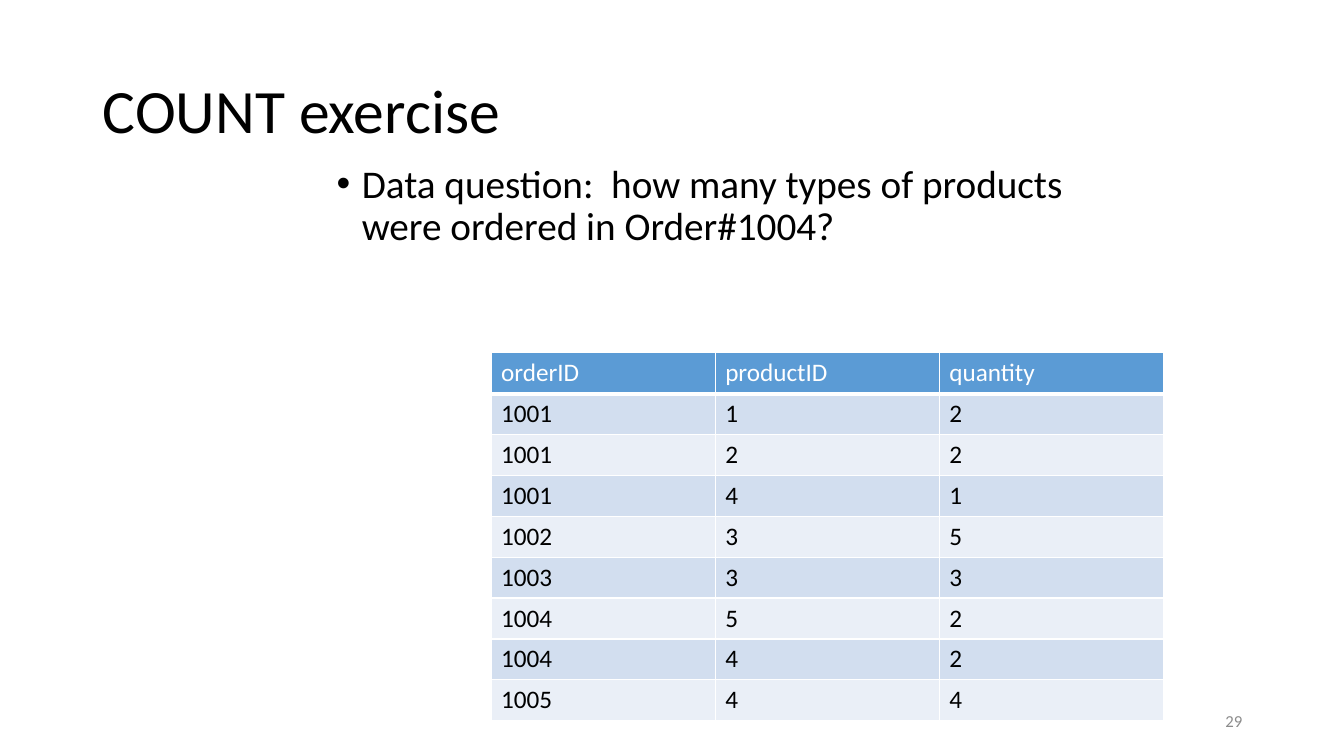
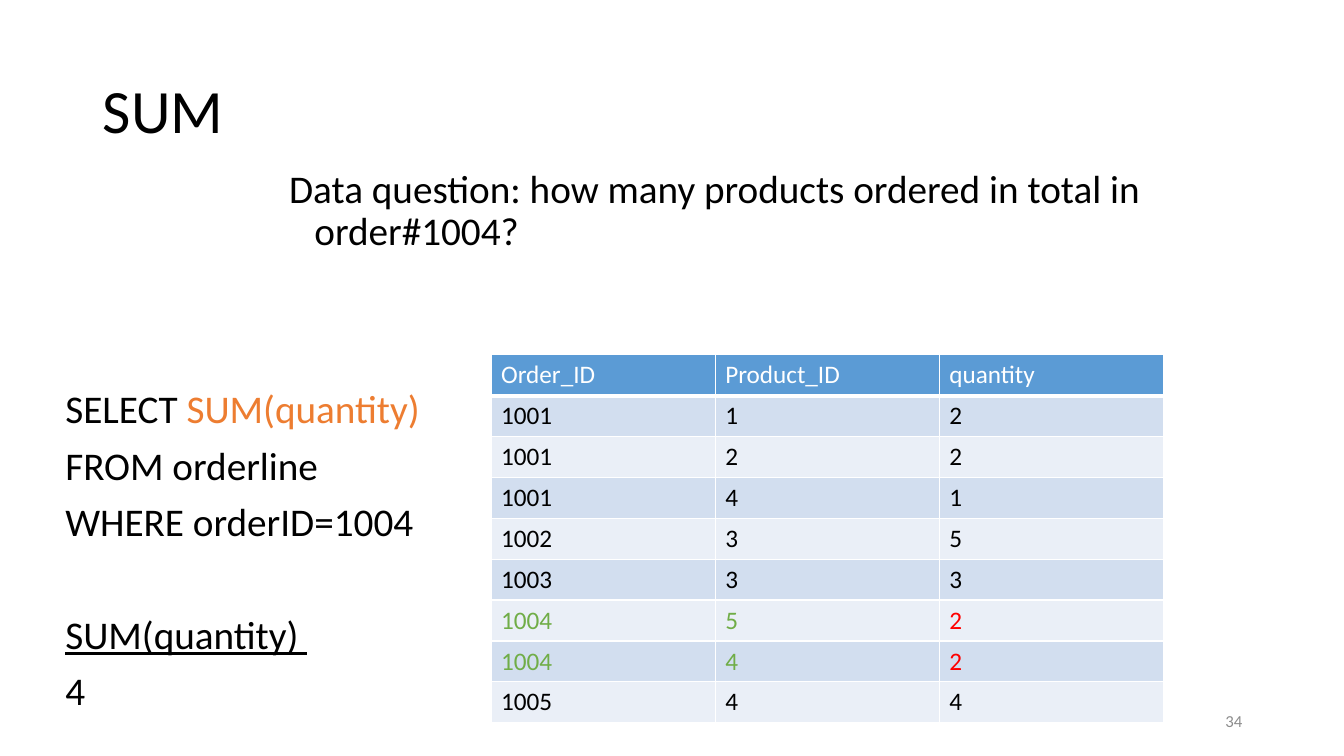
from lxml import etree
from pptx import Presentation
from pptx import util as u
from pptx.dml.color import RGBColor
from pptx.enum import text
from pptx.oxml.ns import qn

PX = 9144  # EMU, 100 px to the inch
FONT = "Calibri"
BLACK, WHITE, GREY = "000000", "FFFFFF", "8C8C8C"
ORANGE, GREEN, RED = "ED7D31", "70AD47", "FF0000"
HEADER, BANDS = "5B9BD5", ("D2DEEF", "EAEFF7")
HANGING = 25

TITLE_BOX = (92, 40, 1150, 145)
NUMBER_BOX = (942, 695, 300, 40)
BODY = {"line_spacing": 0.9, "space_before": u.Pt(10)}
TITLE = {"line_spacing": 0.9, "alignment": text.PP_ALIGN.LEFT}

ORDER_LINES = [
    (1001, 1, 2), (1001, 2, 2), (1001, 4, 1), (1002, 3, 5),
    (1003, 3, 3), (1004, 5, 2), (1004, 4, 2), (1005, 4, 4),
]


def px(*lengths):
    return [u.Emu(n * PX) for n in lengths]


def rgb(code):
    return RGBColor.from_string(code)


def set_attrs(obj, values):
    for name, value in values.items():
        setattr(obj, name, value)


def add_run(p, words, size, color=BLACK, **font):
    r = p.add_run()
    r.text = words
    set_attrs(r.font, {"name": FONT, "size": u.Pt(size), **font})
    r.font.color.rgb = rgb(color)


def set_hanging(p, bullet=None):
    pPr = p._p.get_or_add_pPr()
    indent = HANGING * PX
    pPr.set("marL", str(indent))
    pPr.set("indent", str(-indent))
    if bullet:
        etree.SubElement(pPr, qn("a:buFont"), typeface="Arial")
        etree.SubElement(pPr, qn("a:buChar"), char=bullet)
    else:
        etree.SubElement(pPr, qn("a:buNone"))


def add_box(slide, box):
    tf = slide.shapes.add_textbox(*px(*box)).text_frame
    tf.word_wrap = True
    return tf


def add_body(slide, box, lines, bullet=None):
    """Each line is a list of (words, font values) and its paragraph values."""
    tf = add_box(slide, box)
    for i, (runs, values) in enumerate(lines):
        p = tf.add_paragraph() if i else tf.paragraphs[0]
        set_attrs(p, {**BODY, **values})
        set_hanging(p, bullet)
        for words, font in runs:
            add_run(p, words, 28, **font)


def add_slide(prs, title, number):
    slide = prs.slides.add_slide(prs.slide_layouts.get_by_name("Title Only"))
    sp = slide.shapes.title
    set_attrs(sp, dict(zip(("left", "top", "width", "height"), px(*TITLE_BOX))))
    sp.text_frame.vertical_anchor = text.MSO_ANCHOR.MIDDLE
    p = sp.text_frame.paragraphs[0]
    set_attrs(p, TITLE)
    add_run(p, title, 44)

    tf = add_box(slide, NUMBER_BOX)
    tf.vertical_anchor = text.MSO_ANCHOR.MIDDLE
    p = tf.paragraphs[0]
    p.alignment = text.PP_ALIGN.RIGHT
    add_run(p, number, 12, GREY)
    return slide


def add_borders(cell, bottom):
    tcPr = cell._tc.get_or_add_tcPr()
    for side, width in (("L", 1), ("R", 1), ("T", 1), ("B", bottom)):
        ln = etree.SubElement(tcPr, qn(f"a:ln{side}"), w=str(u.Pt(width)))
        fill = etree.SubElement(ln, qn("a:solidFill"))
        etree.SubElement(fill, qn("a:srgbClr"), val=WHITE)


def fill_cell(cell, words, fill, color, bottom=1):
    add_borders(cell, bottom)
    cell.fill.solid()
    cell.fill.fore_color.rgb = rgb(fill)
    add_run(cell.text_frame.paragraphs[0], words, 18, color, bold=False)


def add_order_table(slide, top, headings, marked_order=None):
    """Rows of the marked order are green, with the quantity in red."""
    rows = len(ORDER_LINES) + 1
    box = px(487, top, 667, 365)
    table = slide.shapes.add_table(rows, len(headings), *box).table
    for col, heading in enumerate(headings):
        fill_cell(table.cell(0, col), heading, HEADER, WHITE, bottom=3)
    for row, line in enumerate(ORDER_LINES):
        colors = (GREEN, GREEN, RED) if line[0] == marked_order else (BLACK,) * 3
        for col, (value, color) in enumerate(zip(line, colors)):
            fill_cell(table.cell(row + 1, col), str(value), BANDS[row % 2], color)


def count_slide(prs):
    slide = add_slide(prs, "COUNT exercise", "29")
    question = "Data question:  how many types of products were ordered in Order#1004?"
    add_body(slide, (324, 158, 820, 127), [([(question, {})], {})], bullet="•")
    add_order_table(slide, 350, ("orderID", "productID", "quantity"))


def sum_slide(prs):
    slide = add_slide(prs, "SUM", "34")
    question = "Data question: how many products ordered in total in order#1004?"
    add_body(slide, (277, 163, 890, 189), [([(question, {})], {})])
    add_order_table(slide, 352, ("Order_ID", "Product_ID", "quantity"), 1004)
    add_body(slide, (55, 382, 384, 394), [
        ([("SELECT ", {}), ("SUM(quantity)", {"color": ORANGE})], {}),
        ([("FROM orderline", {})], {}),
        ([("WHERE orderID=1004", {})], {}),
        ([("SUM(quantity) ", {"underline": True})], {"space_before": u.Pt(50.5)}),
        ([("4", {})], {}),
    ])


def main():
    prs = Presentation()
    prs.slide_width, prs.slide_height = px(1333, 750)
    count_slide(prs)
    sum_slide(prs)
    prs.save("out.pptx")


if __name__ == "__main__":
    main()
